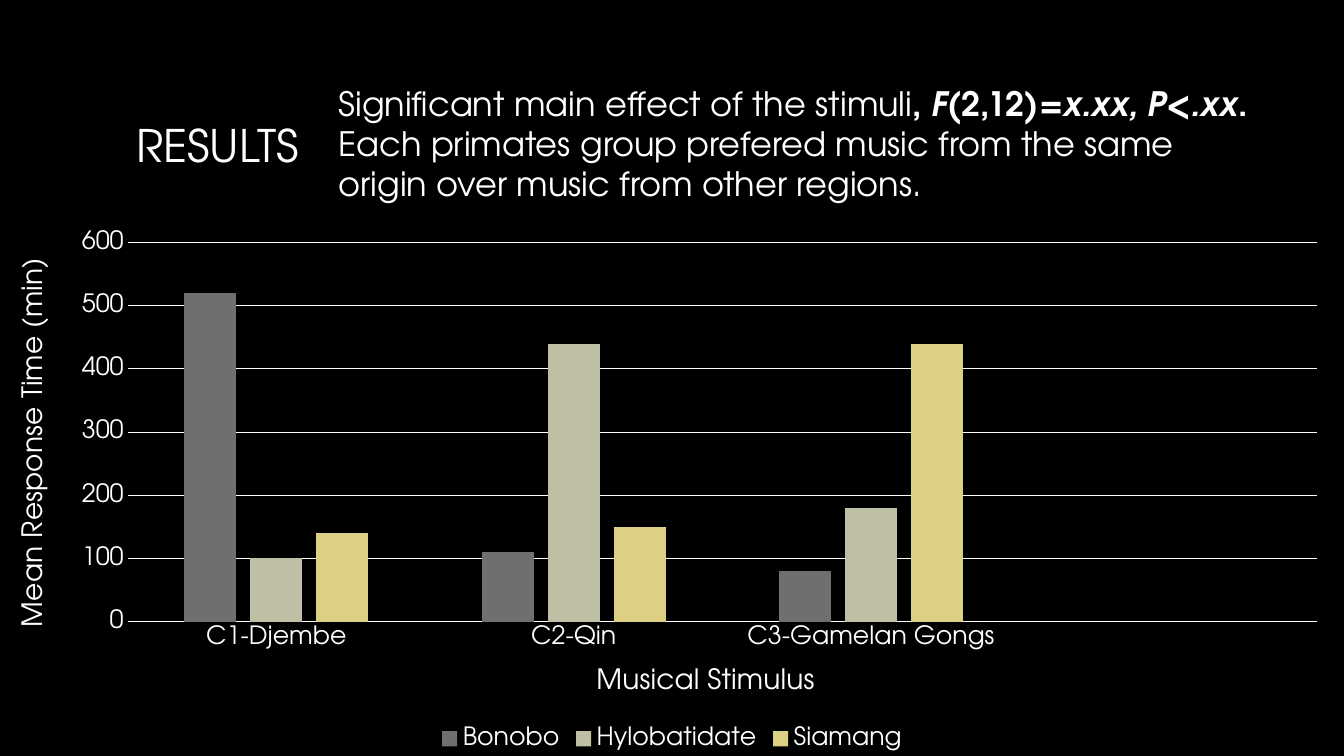
from lxml import etree
from pptx import Presentation
from pptx.chart.data import CategoryChartData
from pptx.dml.color import RGBColor
from pptx.enum.chart import XL_CHART_TYPE, XL_LEGEND_POSITION, XL_TICK_MARK
from pptx.enum.text import MSO_ANCHOR, MSO_AUTO_SIZE, PP_ALIGN
from pptx.oxml.ns import qn
from pptx.util import Inches, Pt

COLUMNS = XL_CHART_TYPE.COLUMN_CLUSTERED
BOTTOM = XL_LEGEND_POSITION.BOTTOM
NO_TICK = XL_TICK_MARK.NONE
MIDDLE = MSO_ANCHOR.MIDDLE
NO_FIT = MSO_AUTO_SIZE.NONE
GROW = MSO_AUTO_SIZE.SHAPE_TO_FIT_TEXT
LEFT = PP_ALIGN.LEFT

BLACK = RGBColor(0x00, 0x00, 0x00)
WHITE = RGBColor(0xFF, 0xFF, 0xFF)
GRAY = RGBColor(0x6F, 0x6F, 0x6F)
SAGE = RGBColor(0xBF, 0xBF, 0xA5)
GOLD = RGBColor(0xDC, 0xD0, 0x84)

# The last group is left open
STIMULI = ["C1-Djembe", "C2-Qin", "C3-Gamelan Gongs", ""]
GROUPS = [
    ("Bonobo", (520, 110, 80, None), GRAY),
    ("Hylobatidate", (100, 440, 180, None), SAGE),
    ("Siamang", (140, 150, 440, None), GOLD),
]
# Text, bold, italic
FINDING = [
    ("Significant main effect of the stimuli", False, False),
    (", ", True, False),
    ("F", True, True),
    ("(2,12)", True, False),
    ("=x.xx, P<.xx", True, True),
    (". ", True, False),
    ("Each primates group prefered music from the same origin "
     "over music from other regions.", False, False),
]


def pin(parent, index, **marks):
    """Fix the place of a chart part, in fractions of the chart."""
    for old in parent.findall(qn("c:layout")):
        parent.remove(old)
    layout = etree.Element(qn("c:layout"))
    manual = etree.SubElement(layout, qn("c:manualLayout"))
    for tag, val in marks.items():
        etree.SubElement(manual, qn("c:" + tag)).set("val", str(val))
    parent.insert(index, layout)


class Board:
    def __init__(self, slide, face, color):
        self.slide, self.face, self.color = slide, face, color

    def style(self, font, size):
        font.name = self.face
        font.size = Pt(size)
        font.color.rgb = self.color

    def title(self, text, box, size):
        shape = self.slide.shapes.title
        shape.left, shape.top, shape.width, shape.height = map(Inches, box)
        frame = shape.text_frame
        frame.text = text
        frame.auto_size = NO_FIT
        frame.vertical_anchor = MIDDLE
        para = frame.paragraphs[0]
        para.alignment = LEFT
        self.style(para.runs[0].font, size)

    def text(self, parts, box, size):
        frame = self.slide.shapes.add_textbox(*map(Inches, box)).text_frame
        frame.word_wrap = True
        frame.auto_size = GROW
        para = frame.paragraphs[0]
        for words, bold, slant in parts:
            run = para.add_run()
            run.text = words
            self.style(run.font, size)
            run.font.bold, run.font.italic = bold, slant

    def axis(self, axis, text, x, y):
        axis.major_tick_mark = axis.minor_tick_mark = NO_TICK
        self.style(axis.tick_labels.font, 18)
        title = axis.axis_title
        title.text_frame.text = text
        font = title.text_frame.paragraphs[0].runs[0].font
        self.style(font, 20)
        font.bold = False
        pin(axis._element.find(qn("c:title")), 1,
            xMode="edge", yMode="edge", x=x, y=y)

    def rule(self, line):
        line.color.rgb = self.color
        line.width = Pt(0.75)

    def chart(self, box):
        data = CategoryChartData()
        data.categories = STIMULI
        for name, vals, _ in GROUPS:
            data.add_series(name, vals)
        chart = self.slide.shapes.add_chart(
            COLUMNS, *map(Inches, box), data).chart
        self.style(chart.font, 10)
        chart.has_title = False
        chart.has_legend = True
        chart.legend.position = BOTTOM
        chart.legend.include_in_layout = False
        self.style(chart.legend.font, 18)

        plot = chart.plots[0]
        plot.gap_width, plot.overlap = 219, -27
        plot.vary_by_categories = False
        for series, (_, _, color) in zip(plot.series, GROUPS):
            series.format.fill.solid()
            series.format.fill.fore_color.rgb = color

        across, up = chart.category_axis, chart.value_axis
        self.axis(across, "Musical Stimulus", 0.44, 0.82)
        self.axis(up, "Mean Response Time (min)", 0.01, 0.06)
        self.rule(across.format.line)
        self.rule(up.major_gridlines.format.line)
        up.format.line.fill.background()
        up.minimum_scale, up.maximum_scale, up.major_unit = 0, 600, 100
        pin(chart._chartSpace.chart.plotArea, 0, layoutTarget="inner",
            xMode="edge", yMode="edge", x=0.095, y=0.041, w=0.885, h=0.708)


def main():
    deck = Presentation()
    deck.slide_width, deck.slide_height = Inches(13.33), Inches(7.5)
    slide = deck.slides.add_slide(deck.slide_layouts[5])
    fill = slide.background.fill
    fill.solid()
    fill.fore_color.rgb = BLACK

    board = Board(slide, "TeX Gyre Adventor", WHITE)
    board.title("RESULTS", (1.25, 0.67, 2.01, 1.52), 32)
    board.chart((0, 2.19, 13.33, 5.31))
    board.text(FINDING, (3.26, 0.77, 9.41, 1.31), 24)
    deck.save("out.pptx")


if __name__ == "__main__":
    main()
